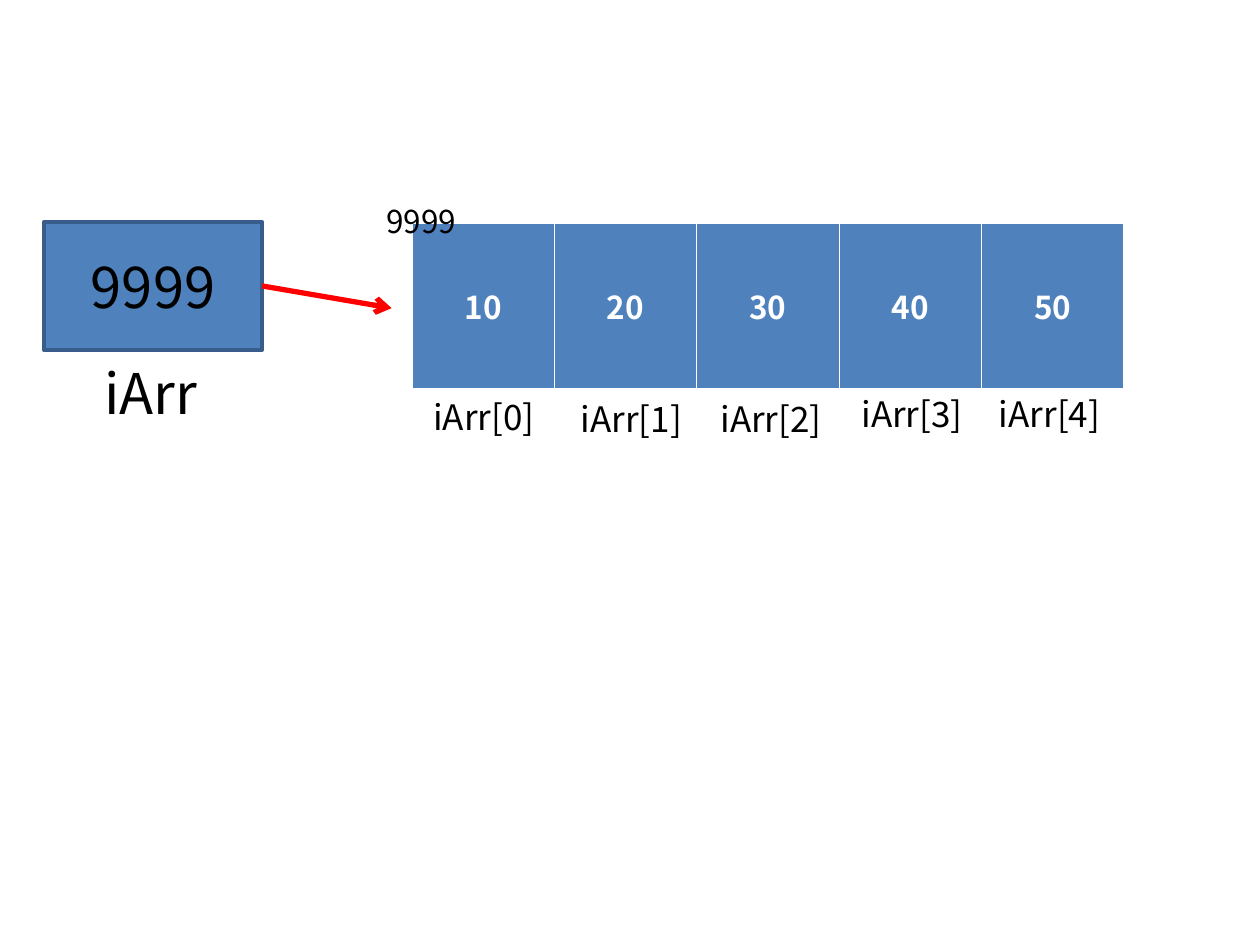
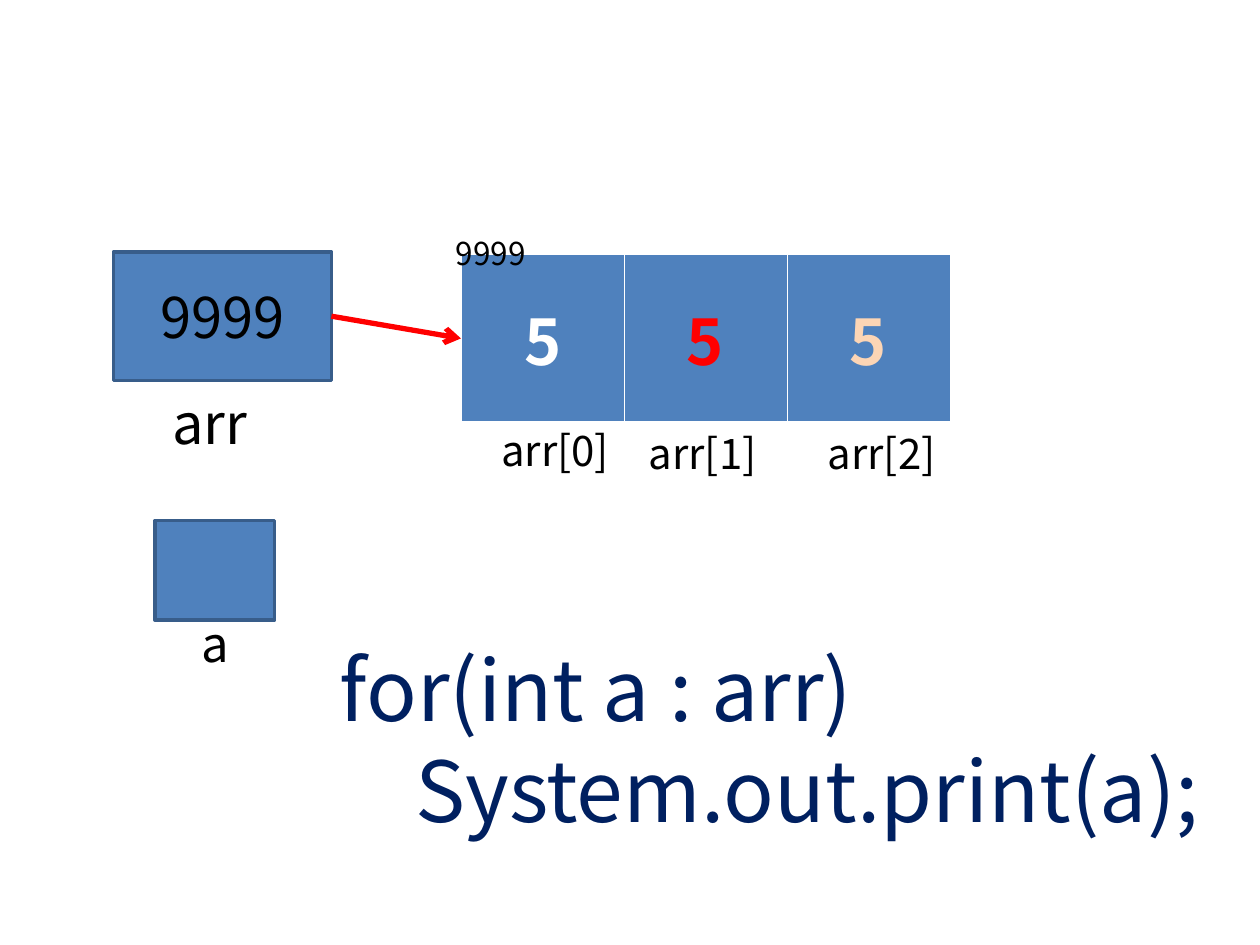
from collections import namedtuple
from dataclasses import dataclass

from lxml import etree
from pptx import Presentation
from pptx.dml import color
from pptx.enum import shapes, text
from pptx.oxml import ns
from pptx.util import Pt

Box = namedtuple("Box", "left top width height")


@dataclass(frozen=True)
class Theme:
    """Colours, font and type sizes shared by the slides."""
    font: str = "Noto Sans CJK KR"
    cell: str = "4F81BD"
    edge: str = "385D8A"
    ink: str = "000000"
    light: str = "FFFFFF"
    accent: str = "FF0000"
    peach: str = "FCD5B5"
    code: str = "002060"
    address_size: int = 18
    variable_size: int = 32
    loop_variable_size: int = 28
    code_size: int = 48


THEME = Theme()


def rgb(value):
    """Turn a hex string into a colour."""
    return color.RGBColor.from_string(value)


def points(box):
    """Turn a box into four lengths."""
    return [Pt(length) for length in box]


def style(paragraph, size, ink=THEME.ink, bold=False, align=text.PP_ALIGN.LEFT):
    """Set the font and alignment of a paragraph."""
    paragraph.alignment = align
    font = paragraph.font
    font.name, font.size, font.bold = THEME.font, Pt(size), bold
    font.color.rgb = rgb(ink)


def add_label(slide, box, wording, size, ink=THEME.ink):
    """Add unwrapped text, one paragraph per line, and return its paragraphs."""
    frame = slide.shapes.add_textbox(*points(box)).text_frame
    frame.word_wrap = False
    frame.text = wording
    for paragraph in frame.paragraphs:
        style(paragraph, size, ink)
    return frame.paragraphs


def add_variable(slide, box, name, name_box, size, value=""):
    """Draw a memory box with its value and the variable name under it."""
    memory = slide.shapes.add_shape(shapes.MSO_SHAPE.RECTANGLE, *points(box))
    memory.shadow.inherit = False
    memory.fill.solid()
    memory.fill.fore_color.rgb = rgb(THEME.cell)
    memory.line.color.rgb = rgb(THEME.edge)
    memory.line.width = Pt(2)
    if value:
        frame = memory.text_frame
        frame.text = value
        frame.vertical_anchor = text.MSO_ANCHOR.MIDDLE
        style(frame.paragraphs[0], size, align=text.PP_ALIGN.CENTER)
    placed = name_box._replace(left=box.left + name_box.left, top=box.top + name_box.top)
    add_label(slide, placed, name, size)
    return memory


def add_pointer(slide, box, memory):
    """Draw the red arrow from a memory box toward its array."""
    right, middle = box.left + box.width, box.top + box.height / 2
    pointer = slide.shapes.add_connector(
        shapes.MSO_CONNECTOR.STRAIGHT,
        *points((right, middle, right + 74, middle + 12.7)))
    pointer.begin_connect(memory, 3)
    pointer.line.color.rgb = rgb(THEME.accent)
    pointer.line.width = Pt(3)
    etree.SubElement(pointer.line._get_or_add_ln(), ns.qn("a:tailEnd"), type="arrow")
    etree.SubElement(pointer._element.spPr, ns.qn("a:effectLst"))


def add_borders(cell):
    """Give a cell thin white borders and a thicker bottom one."""
    properties = cell._tc.get_or_add_tcPr()
    for side, width in (("L", 0.45), ("R", 0.45), ("T", 0.45), ("B", 1.47)):
        border = etree.SubElement(properties, ns.qn(f"a:ln{side}"), w=str(Pt(width)))
        fill = etree.SubElement(border, ns.qn("a:solidFill"))
        etree.SubElement(fill, ns.qn("a:srgbClr"), val=THEME.light)


def add_array(slide, box, values, inks, size):
    """Draw the array as a one-row table of equal cells."""
    array = slide.shapes.add_table(1, len(values), *points(box)).table
    array.horz_banding = False
    for column in array.columns:
        column.width = Pt(box.width / len(values))
    for cell, value, ink in zip(array.rows[0].cells, values, inks):
        add_borders(cell)
        cell.fill.solid()
        cell.fill.fore_color.rgb = rgb(THEME.cell)
        cell.vertical_anchor = text.MSO_ANCHOR.MIDDLE
        cell.text = value
        style(cell.text_frame.paragraphs[0], size, ink, True, text.PP_ALIGN.CENTER)


def add_indices(slide, box, name, nudges, label_width, label_height, size):
    """Name each cell below the array, nudged from the cell's lower left corner."""
    step, bottom = box.width / len(nudges), box.top + box.height
    for index, (right, down) in enumerate(nudges):
        place = Box(box.left + index * step + right, bottom + down, label_width, label_height)
        add_label(slide, place, f"{name}[{index}]", size)


def add_address(slide, box, shift):
    """Write the address over the array's upper left corner."""
    place = Box(box.left - shift, box.top - 15.4, 55.4, 28.8)
    add_label(slide, place, "9999", THEME.address_size)


def add_loop(slide, box):
    """Write the for-each loop with its body indented."""
    header, body = add_label(
        slide, box, "for(int a : arr)\nSystem.out.print(a);", THEME.code_size, THEME.code)
    body._p.get_or_add_pPr().set("marL", str(Pt(43)))


def build_int_array(slide):
    """Build the slide of a five-element array."""
    reference = Box(25.2, 126.7, 124.6, 73.4)
    array = Box(235.4, 127.4, 406.8, 95)
    add_array(slide, array, ["10", "20", "30", "40", "50"], [THEME.light] * 5, 18)
    memory = add_variable(slide, reference, "iArr", Box(27.4, 74.9, 69.1, 46.1),
                          THEME.variable_size, "9999")
    add_address(slide, array, 21.6)
    add_pointer(slide, reference, memory)
    nudges = [(5, 0), (8, 1.4), (6.5, 1.4), (5.7, -1.4), (2.9, -1.4)]
    add_indices(slide, array, "iArr", nudges, 73.4, 31.7, 20)


def build_for_each(slide):
    """Build the slide of a for-each loop over an array."""
    reference = Box(64.8, 144, 124.6, 73.4)
    array = Box(263.5, 145.4, 279.4, 95.8)
    memory = add_variable(slide, reference, "arr", Box(26.6, 74.2, 58.3, 46.1),
                          THEME.variable_size, "9999")
    add_array(slide, array, ["5"] * 3, [THEME.light, THEME.accent, THEME.peach], 36)
    add_address(slide, array, 10.1)
    add_pointer(slide, reference, memory)
    nudges = [(15.8, -2.2), (7, -0.7), (16.1, -0.7)]
    add_indices(slide, array, "arr", nudges, 77, 36, 24)
    add_variable(slide, Box(88.6, 297.4, 68.4, 56.9), "a", Box(19.4, 49.6, 30.2, 41),
                 THEME.loop_variable_size)
    add_loop(slide, Box(187.2, 360.7, 506.2, 122.4))


def main():
    """Build both slides and save them."""
    deck = Presentation()
    deck.slide_width, deck.slide_height = Pt(720), Pt(540)
    for build in (build_int_array, build_for_each):
        build(deck.slides.add_slide(deck.slide_layouts[6]))
    deck.save("out.pptx")


if __name__ == "__main__":
    main()
